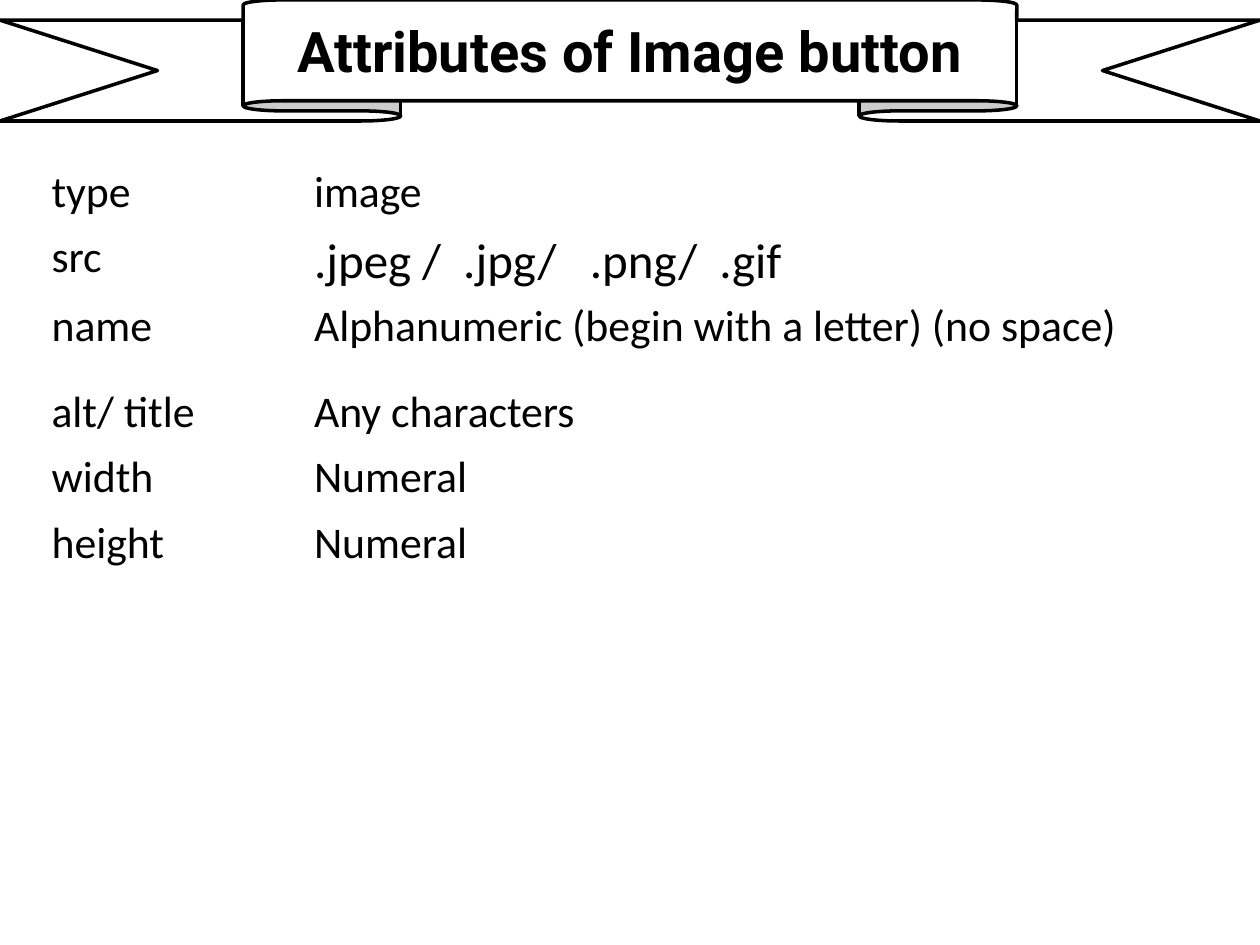
from typing import NamedTuple

from pptx import Presentation
from pptx.dml.color import RGBColor
from pptx.enum.shapes import MSO_SHAPE
from pptx.enum.text import MSO_ANCHOR, PP_ALIGN
from pptx.util import Cm, Pt

BLACK = RGBColor(0x00, 0x00, 0x00)
WHITE = RGBColor(0xFF, 0xFF, 0xFF)
ROW_HEIGHT = 1.32


class Attribute(NamedTuple):
    name: str
    value: str
    value_size: int = 25
    height: float = ROW_HEIGHT


ATTRIBUTES = [
    Attribute("type", "image"),
    Attribute("src", ".jpeg /  .jpg/   .png/  .gif", value_size=28),
    Attribute("name", "Alphanumeric (begin with a letter) (no space)", height=1.73),
    Attribute("alt/ title ", "Any characters"),
    Attribute("width", "Numeral"),
    Attribute("height", "Numeral"),
]


def style_paragraph(paragraph, font_name: str, size: int, align, bold: bool = False) -> None:
    paragraph.alignment = align
    font = paragraph.font
    font.name, font.size, font.bold = font_name, Pt(size), bold
    font.color.rgb = BLACK


def add_banner(slide, title: str) -> None:
    banner = slide.shapes.add_shape(MSO_SHAPE.UP_RIBBON, 0, 0, Cm(25.4), Cm(2.44))
    banner.adjustments[0] = 0.167
    banner.adjustments[1] = 0.614
    banner.shadow.inherit = False
    banner.fill.solid()
    banner.fill.fore_color.rgb = WHITE
    banner.line.color.rgb = BLACK
    banner.line.width = Pt(2)
    frame = banner.text_frame
    frame.text = title
    frame.vertical_anchor = MSO_ANCHOR.MIDDLE
    style_paragraph(frame.paragraphs[0], "Roboto", 32, PP_ALIGN.CENTER, bold=True)


def fill_cell(cell, text: str, size: int) -> None:
    cell.fill.background()
    cell.margin_left = cell.margin_right = Cm(0.19)
    cell.margin_top = cell.margin_bottom = 0
    cell.text = text
    paragraph = cell.text_frame.paragraphs[0]
    paragraph.line_spacing = 1.15
    style_paragraph(paragraph, "Calibri", size, PP_ALIGN.JUSTIFY)


def add_attribute_table(slide, attributes: list[Attribute]) -> None:
    total_height = sum(attribute.height for attribute in attributes)
    table = slide.shapes.add_table(
        len(attributes), 2, Cm(0.85), Cm(3.18), Cm(23.28), Cm(total_height)
    ).table
    table.first_row = table.horz_banding = False
    table.columns[0].width = Cm(5.29)
    table.columns[1].width = Cm(17.99)
    for row, attribute in zip(table.rows, attributes):
        row.height = Cm(attribute.height)
        fill_cell(row.cells[0], attribute.name, 25)
        fill_cell(row.cells[1], attribute.value, attribute.value_size)


# Slide
presentation = Presentation()
presentation.slide_width, presentation.slide_height = Cm(25.4), Cm(19.05)
slide = presentation.slides.add_slide(presentation.slide_layouts[6])

# Title ribbon and attribute list
add_banner(slide, "Attributes of Image button")
add_attribute_table(slide, ATTRIBUTES)

presentation.save("out.pptx")
